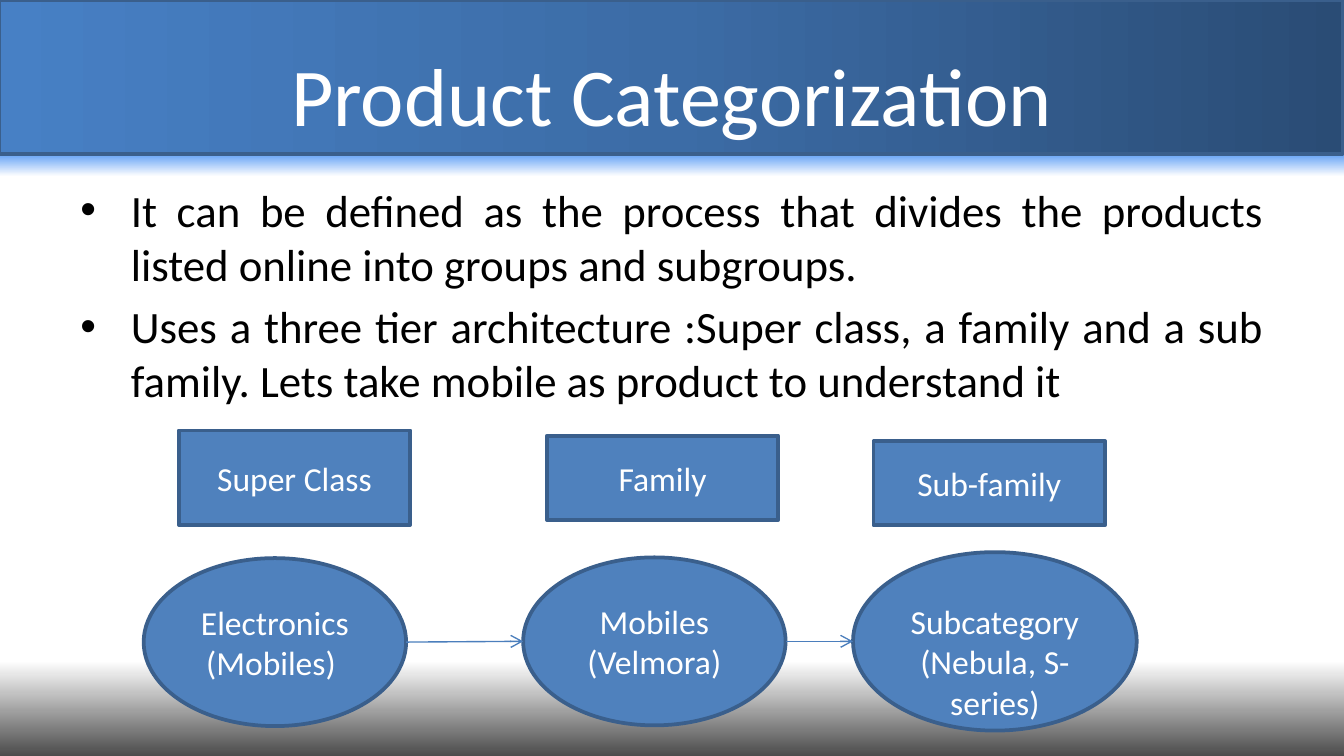
from dataclasses import dataclass

from pptx import Presentation
from pptx.dml.color import RGBColor
from pptx.enum.shapes import MSO_CONNECTOR, MSO_SHAPE
from pptx.enum.text import MSO_ANCHOR, PP_ALIGN
from pptx.oxml import parse_xml
from pptx.oxml.ns import nsdecls
from pptx.oxml.xmlchemy import OxmlElement
from pptx.util import Pt


@dataclass(frozen=True)
class Theme:
    font: str = "Calibri"
    title_size: float = 44
    body_size: float = 24
    label_size: float = 18
    white: str = "FFFFFF"
    black: str = "000000"
    fill: str = "4F81BD"
    outline: str = "3A5F8C"
    arrow: str = "4B7EBC"
    header: tuple = ((0, "4780C5"), (50, "3C6CA6"), (100, "2A4C75"))
    glow: tuple = ((0, "5C9DF5"), (100, "FFFFFF"))
    footer: tuple = ((0, "FFFFFF"), (100, "4C4C4C"))


@dataclass(frozen=True)
class Box:
    left: float
    top: float
    width: float
    height: float

    def emu(self) -> tuple:
        return Pt(self.left), Pt(self.top), Pt(self.width), Pt(self.height)


@dataclass(frozen=True)
class Tier:
    heading: str
    example: str
    rect: Box
    oval: Box


THEME = Theme()
SLIDE_W, SLIDE_H = 720, 405

BULLETS = (
    "It can be defined as the process that divides the products listed online "
    "into groups and subgroups.",
    "Uses a three tier architecture :Super class, a family and a sub family. "
    "Lets take mobile as product to understand it",
)
TIERS = (
    Tier("Super Class", "Electronics\n(Mobiles) ",
         Box(95.8, 230.6, 124, 50.6), Box(77, 299, 140.6, 90)),
    Tier("Family", "Mobiles\n(Velmora)",
         Box(293, 233.4, 124, 45.2), Box(280.3, 298.6, 140.6, 90)),
    Tier("Sub-family", " Subcategory\n(Nebula, S-series)",
         Box(468, 236.2, 124, 45.2), Box(457, 295.8, 152, 95.6)),
)


def write(shape, text: str, size: float, color: str, align: PP_ALIGN):
    tf = shape.text_frame
    tf.word_wrap = True
    tf.text = text
    for p in tf.paragraphs:
        p.alignment = align
        for r in p.runs:
            r.font.name, r.font.size = THEME.font, Pt(size)
            r.font.color.rgb = RGBColor.from_string(color)
    return tf


def add_block(s, kind: MSO_SHAPE, box: Box, outlined: bool = True):
    sp = s.shapes.add_shape(kind, *box.emu())
    sp.shadow.inherit = False
    sp.fill.solid()
    sp.fill.fore_color.rgb = RGBColor.from_string(THEME.fill)
    if outlined:
        sp.line.color.rgb = RGBColor.from_string(THEME.outline)
        sp.line.width = Pt(2)
    else:
        sp.line.fill.background()
    return sp


def add_band(s, box: Box, stops: tuple, angle: int, outlined: bool = False) -> None:
    sp = add_block(s, MSO_SHAPE.RECTANGLE, box, outlined)
    gs = "".join(f'<a:gs pos="{pos * 1000}"><a:srgbClr val="{color}"/></a:gs>'
                 for pos, color in stops)
    grad = parse_xml(f'<a:gradFill {nsdecls("a")} rotWithShape="1"><a:gsLst>{gs}</a:gsLst>'
                     f'<a:lin ang="{angle * 60000}" scaled="0"/></a:gradFill>')
    solid = sp._element.spPr.find(
        "{http://schemas.openxmlformats.org/drawingml/2006/main}solidFill")
    solid.getparent().replace(solid, grad)


def add_label(s, kind: MSO_SHAPE, box: Box, text: str) -> None:
    sp = add_block(s, kind, box)
    tf = write(sp, text, THEME.label_size, THEME.white, PP_ALIGN.CENTER)
    tf.vertical_anchor = MSO_ANCHOR.MIDDLE


def add_arrow(s, start: Box, end: Box) -> None:
    cx = s.shapes.add_connector(
        MSO_CONNECTOR.STRAIGHT,
        Pt(start.left + start.width), Pt(start.top + start.height / 2),
        Pt(end.left), Pt(end.top + end.height / 2))
    cx.line.color.rgb = RGBColor.from_string(THEME.arrow)
    cx.line.width = Pt(0.75)
    tail = OxmlElement("a:tailEnd")
    tail.set("type", "arrow")
    cx.line._get_or_add_ln().append(tail)
    cx._element.spPr.append(OxmlElement("a:effectLst"))


def add_bullets(s, box: Box, items: tuple) -> None:
    tb = s.shapes.add_textbox(*box.emu())
    tf = write(tb, "\n".join(items), THEME.body_size, THEME.black, PP_ALIGN.JUSTIFY)
    for p in tf.paragraphs:
        p.space_before = Pt(THEME.body_size * 0.2)
        pPr = p._p.get_or_add_pPr()
        pPr.set("marL", str(Pt(27)))
        pPr.set("indent", str(-Pt(27)))
        font = OxmlElement("a:buFont")
        font.set("typeface", "Arial")
        bullet = OxmlElement("a:buChar")
        bullet.set("char", "•")
        pPr.extend((font, bullet))


def main() -> None:
    prs = Presentation()
    prs.slide_width, prs.slide_height = Pt(SLIDE_W), Pt(SLIDE_H)
    s = prs.slides.add_slide(prs.slide_layouts[6])

    # Background bands
    add_band(s, Box(0, 354, SLIDE_W, SLIDE_H - 354), THEME.footer, 90)
    add_band(s, Box(0, 82, SLIDE_W, 12.5), THEME.glow, 90)
    add_band(s, Box(-0.7, 0, SLIDE_W, 82.6), THEME.header, 0, outlined=True)

    # Title and bullets
    title = s.shapes.add_textbox(*Box(36, 16.6, 648, 67.7).emu())
    tf = write(title, "Product Categorization", THEME.title_size, THEME.white, PP_ALIGN.CENTER)
    tf.vertical_anchor = MSO_ANCHOR.MIDDLE
    add_bullets(s, Box(36, 94.3, 648, 257.8), BULLETS)

    # Tiers with their examples
    for tier in TIERS:
        add_label(s, MSO_SHAPE.RECTANGLE, tier.rect, tier.heading)
        add_label(s, MSO_SHAPE.OVAL, tier.oval, tier.example)
    for start, end in zip(TIERS, TIERS[1:]):
        add_arrow(s, start.oval, end.oval)

    prs.save("out.pptx")


if __name__ == "__main__":
    main()
